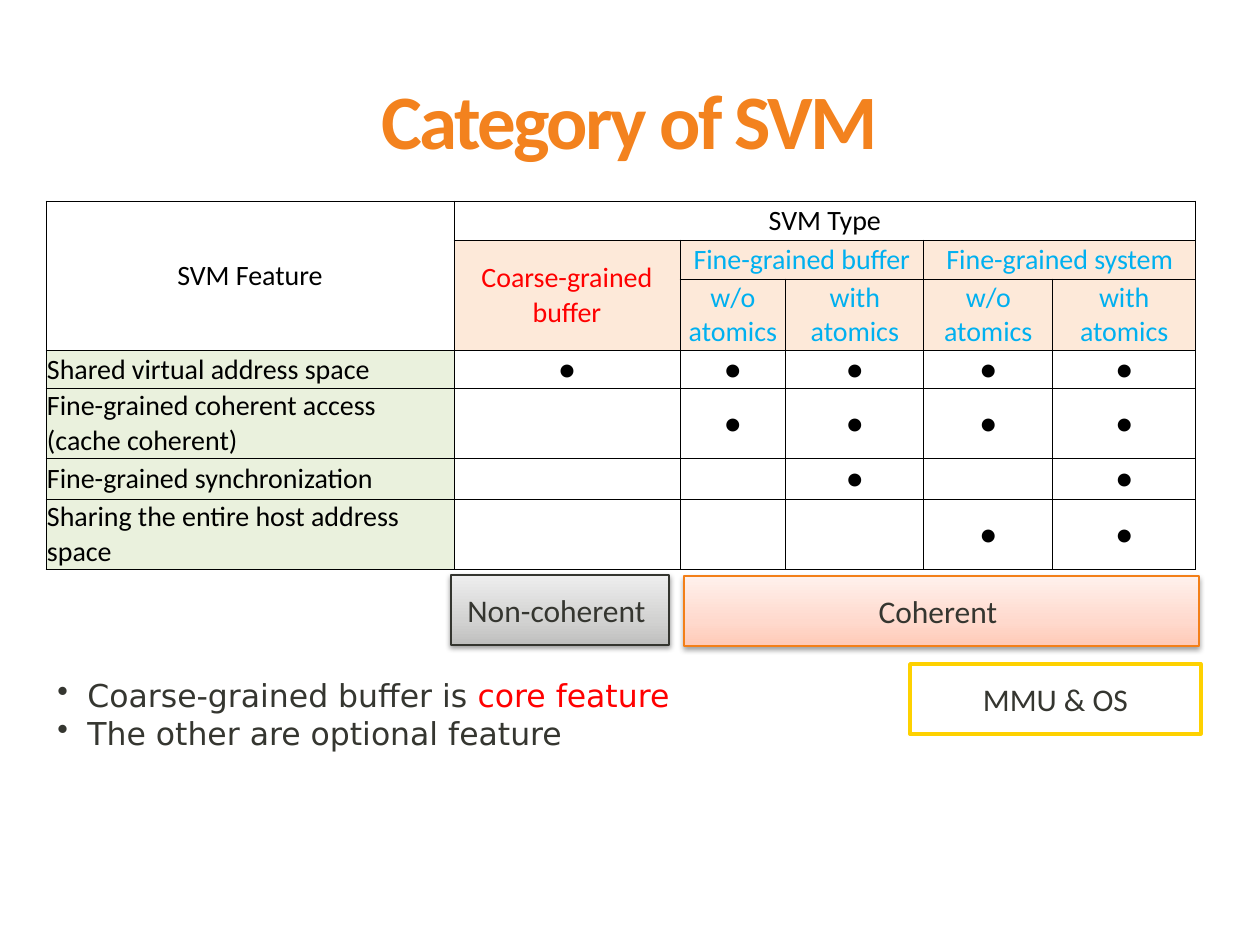
from pptx import Presentation
from pptx.dml.color import RGBColor
from pptx.enum.shapes import MSO_SHAPE
from pptx.enum.text import MSO_ANCHOR, PP_ALIGN
from pptx.oxml import parse_xml
from pptx.oxml.ns import nsdecls
from pptx.util import Emu, Pt

ORANGE = RGBColor(0xF3, 0x82, 0x1E)
BLACK = RGBColor(0, 0, 0)
WHITE = RGBColor(0xFF, 0xFF, 0xFF)
RED = RGBColor(0xFF, 0, 0)
BLUE = RGBColor(0, 0xB0, 0xF0)
INK = RGBColor(0x35, 0x36, 0x30)
PEACH = RGBColor(0xFD, 0xE9, 0xD9)
GREEN = RGBColor(0xEA, 0xF1, 0xDD)
RUST = RGBColor(0xF3, 0x7F, 0x18)
SLATE = RGBColor(0x34, 0x35, 0x2F)
GOLD = RGBColor(0xFE, 0xD1, 0)
CORAL = [RGBColor(0xFF, 0xCA, 0xB7), RGBColor(0xFF, 0xD9, 0xCD), RGBColor(0xFF, 0xF1, 0xEC)]
GRAY = [RGBColor(0xBF, 0xBF, 0xBE), RGBColor(0xD2, 0xD2, 0xD1), RGBColor(0xEE, 0xEE, 0xEE)]

COLS = [408, 226, 106, 138, 129, 143]
ROWS = [39, 39, 71, 38, 70, 41, 70]
HEADS = [
    (0, 0, 3, 1, "SVM Feature", BLACK, None),
    (0, 1, 1, 5, "SVM Type", BLACK, None),
    (1, 1, 2, 1, "Coarse-grained buffer", RED, PEACH),
    (1, 2, 1, 2, "Fine-grained buffer", BLUE, PEACH),
    (1, 4, 1, 2, "Fine-grained system", BLUE, PEACH),
] + [
    (2, col, 1, 1, text, BLUE, PEACH)
    for col, text in enumerate(["w/o atomics", "with atomics"] * 2, 2)
]
TRAITS = [
    ("Shared virtual address space", [1, 2, 3, 4, 5]),
    ("Fine-grained coherent access\n(cache coherent)", [2, 3, 4, 5]),
    ("Fine-grained synchronization", [3, 5]),
    ("Sharing the entire host address space", [4, 5]),
]


def px(count):
    return Emu(round(count * 914400 / 126))


def write(para, text, size=18, color=INK, face="Calibri", bold=False, track=0, align=None):
    if align is not None:
        para.alignment = align
    for index, line in enumerate(text.split("\n")):
        if index:
            para.add_line_break()
        run = para.add_run()
        run.text = line
        font = run.font
        font.size, font.name, font.bold = Pt(size), face, bold
        font.color.rgb = color
        if track:
            run._r.get_or_add_rPr().set("spc", str(track))


class Deck:
    def __init__(self, wide, high):
        self.show = Presentation()
        self.show.slide_width, self.show.slide_height = px(wide), px(high)
        self.slide = self.show.slides.add_slide(self.show.slide_layouts[6])

    def frame(self, *place):
        frame = self.slide.shapes.add_textbox(*map(px, place)).text_frame
        frame.word_wrap = True
        return frame

    def title(self, text, *place):
        para = self.frame(*place).paragraphs[0]
        para.line_spacing = 0.8
        write(para, text, size=44, color=ORANGE, bold=True, track=-150, align=PP_ALIGN.CENTER)

    def bullets(self, lines, *place):
        frame = self.frame(*place)
        for index, parts in enumerate(lines):
            para = frame.add_paragraph() if index else frame.paragraphs[0]
            props = para._p.get_or_add_pPr()
            props.set("marL", str(px(30)))
            props.set("indent", str(-px(30)))
            props.append(parse_xml(f'<a:buChar {nsdecls("a")} char="•"/>'))
            for text, color in parts:
                write(para, text, color=color, face="DejaVu Sans")

    def box(self, text, *place, line, width, shades=None):
        shape = self.slide.shapes.add_shape(MSO_SHAPE.RECTANGLE, *map(px, place))
        shape.shadow.inherit = False
        shape.fill.solid()
        shape.fill.fore_color.rgb = WHITE
        shape.line.color.rgb, shape.line.width = line, Pt(width)
        if shades:
            self.shade(shape, shades)
        frame = shape.text_frame
        frame.word_wrap = False
        frame.vertical_anchor = MSO_ANCHOR.MIDDLE
        write(frame.paragraphs[0], text, align=PP_ALIGN.CENTER)

    def shade(self, shape, shades):
        stops = "".join(
            f'<a:gs pos="{pos}000"><a:srgbClr val="{color}"/></a:gs>'
            for pos, color in zip([0, 35, 100], shades)
        )
        props = shape._element.spPr
        props.replace(props.find("{*}solidFill"), parse_xml(
            f'<a:gradFill {nsdecls("a")} rotWithShape="1"><a:gsLst>{stops}</a:gsLst>'
            '<a:lin ang="16200000" scaled="0"/></a:gradFill>'))
        props.find("{*}effectLst").append(parse_xml(
            f'<a:outerShdw {nsdecls("a")} blurRad="{Pt(3.1)}" dist="{Pt(1.6)}" dir="5400000" '
            'rotWithShape="0"><a:srgbClr val="000000"><a:alpha val="38000"/></a:srgbClr></a:outerShdw>'))

    def grid(self, left, top):
        place = map(px, (left, top, sum(COLS), sum(ROWS)))
        table = self.slide.shapes.add_table(len(ROWS), len(COLS), *place).table
        table.first_row = table.horz_banding = False
        for col, wide in zip(table.columns, COLS):
            col.width = px(wide)
        for row, high in zip(table.rows, ROWS):
            row.height = px(high)
        for cell in table.iter_cells():
            self.edge(cell)
        for row, col, down, over, text, color, fill in HEADS:
            cell = table.cell(row, col)
            if down * over > 1:
                cell.merge(table.cell(row + down - 1, col + over - 1))
            self.fill(cell, text, color, fill, PP_ALIGN.CENTER)
        for row, (label, marks) in enumerate(TRAITS, 3):
            self.fill(table.cell(row, 0), label, BLACK, GREEN, PP_ALIGN.LEFT)
            for col in marks:
                self.fill(table.cell(row, col), "●", BLACK, None, PP_ALIGN.CENTER)

    def edge(self, cell):
        cell.margin_left = cell.margin_right = cell.margin_top = px(1)
        cell.margin_bottom = 0
        cell.vertical_anchor = MSO_ANCHOR.MIDDLE
        props = cell._tc.get_or_add_tcPr()
        for side in "LRTB":
            props.append(parse_xml(
                f'<a:ln{side} {nsdecls("a")} w="{Pt(0.5)}"><a:solidFill>'
                f'<a:srgbClr val="{BLACK}"/></a:solidFill></a:ln{side}>'))
        cell.fill.background()

    def fill(self, cell, text, color, fill, align):
        if fill is not None:
            cell.fill.solid()
            cell.fill.fore_color.rgb = fill
        write(cell.text_frame.paragraphs[0], text, size=16, color=color, align=align)


def main():
    deck = Deck(1260, 945)
    deck.title("Category of SVM", 63, 84, 1134, 156)
    deck.grid(46, 201)
    deck.box("Coherent ", 684, 576, 515, 70, line=RUST, width=0.75, shades=CORAL)
    deck.box("MMU & OS", 910, 664, 291, 70, line=GOLD, width=2)
    deck.box("Non-coherent ", 451, 575, 218, 70, line=SLATE, width=0.75, shades=GRAY)
    deck.bullets([
        [("Coarse-grained buffer is ", INK), ("core feature", RED)],
        [("The other are optional feature", INK)],
    ], 45, 670, 687, 89)
    deck.show.save("out.pptx")


if __name__ == "__main__":
    main()
